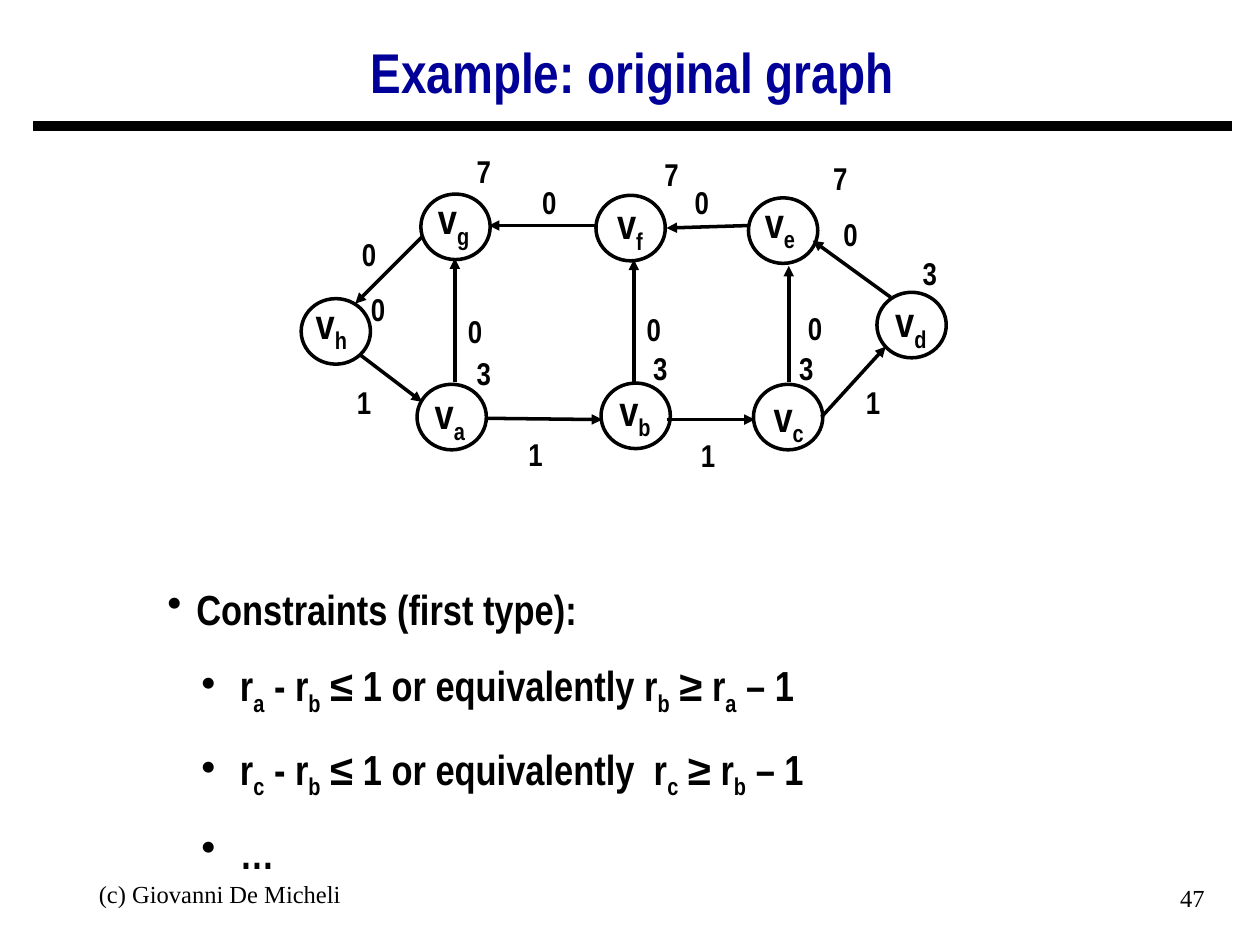
import pptx
import pptx.util
import pptx.dml.color
import pptx.enum.shapes
import pptx.enum.text
import pptx.oxml.ns
from dataclasses import dataclass
from lxml import etree

ALIGN = pptx.enum.text.PP_ALIGN
BLACK = "000000"
COLUMNS, ROWS = 100, 75
NODE_SIZE = (5.5, 5.2)
LABEL_SIZE = (14, 5.6)
WEIGHT_SIZE = (6, 4)
BOLD = {"name": "Arial Narrow", "bold": True}
TITLE = {**BOLD, "size": pptx.util.Pt(32)}
BODY = {**BOLD, "size": pptx.util.Pt(24)}
WEIGHT = {**BOLD, "size": pptx.util.Pt(18)}
FOOTER = {"name": "Times New Roman", "size": pptx.util.Pt(14)}

NODES = {
    "a": ((13.1, 20.5), (-4.4, -0.2)),
    "b": ((27.7, 20.4), (-4.3, -0.4)),
    "c": ((39.8, 20.5), (-4.2, 0)),
    "d": ((49.6, 13.2), (-4.3, -0.2)),
    "e": ((39.4, 5.7), (-4.5, -0.6)),
    "f": ((27.3, 5.5), (-4.3, -0.3)),
    "g": ((13.4, 5.4), (-4.4, -0.6)),
    "h": ((3.9, 13.7), (-4.6, -0.6)),
}
EDGES = [
    ((16.1, 20.3), (16.1, 10.5)),
    ((30.3, 20.3), (30.3, 10.6)),
    ((42.6, 20.3), (42.6, 11.1)),
    ((13.5, 8.8), (8.2, 14.1)),
    ((8.5, 18.1), (13.5, 21.9)),
    ((18.5, 23.2), (27.8, 23.3)),
    ((32.9, 23.3), (39.9, 23.3)),
    ((45.2, 23.1), (50.3, 17.5)),
    ((50.7, 13.6), (44.5, 9.1)),
    ((39.5, 7.9), (32.9, 8.1)),
    ((27.2, 7.9), (18.8, 7.9)),
]
WEIGHTS = {
    "0": [(44.5, 6.6), (32.7, 4), (20.6, 4), (6.3, 8.2), (7, 12.5),
          (14.7, 14.3), (28.9, 14.1), (41.7, 14)],
    "1": [(5.9, 19.9), (19.5, 24), (33.2, 24.1), (46.3, 19.9)],
    "3": [(15.4, 17.6), (29.4, 17.2), (41, 17.2), (50.8, 9.7)],
    "7": [(15.4, 1.6), (30.3, 1.8), (43.7, 2.1)],
}
CONSTRAINTS = [
    " r_a - r_b ≤ 1 or equivalently r_b ≥ r_a – 1",
    " r_c - r_b ≤ 1 or equivalently  r_c ≥ r_b – 1",
    " …",
]


@dataclass
class Box:
    """A region of the slide measured in grid columns and rows."""
    left: float
    top: float
    width: float
    height: float

    def inner(self, at, size):
        """Return a box whose place is relative to this one."""
        return Box(self.left + at[0], self.top + at[1], *size)

    def lengths(self):
        """Return left, top, width and height as slide lengths."""
        return [pptx.util.Inches(value / 10)
                for value in (self.left, self.top, self.width, self.height)]


def color(value):
    """Turn a hex string into a colour."""
    return pptx.dml.color.RGBColor.from_string(value)


def set_all(target, values):
    """Set every attribute named in a dict of format values."""
    for name, value in values.items():
        setattr(target, name, value)


def write(para, text, font, fill=BLACK):
    """Write text in which an underscore lowers the next letter."""
    first, *rest = text.split("_")
    pieces = [(first, False)]
    for piece in rest:
        pieces += [(piece[0], True), (piece[1:], False)]
    for piece, lowered in pieces:
        if piece:
            span = para.add_run()
            span.text = piece
            set_all(span.font, font)
            span.font.color.rgb = color(fill)
            if lowered:
                span.font._element.set("baseline", "-25000")


def add_frame(page, box):
    """Add an empty wrapping text box and return its text frame."""
    frame = page.shapes.add_textbox(*box.lengths()).text_frame
    frame.word_wrap = True
    return frame


def add_label(page, box, text, font, align=ALIGN.CENTER):
    """Add a text box of one paragraph and return the paragraph."""
    para = add_frame(page, box).paragraphs[0]
    para.alignment = align
    write(para, text, font)
    return para


def set_indent(para, margin, first=0):
    """Set the left margin and first-line indent in inches."""
    props = para._p.get_or_add_pPr()
    props.set("marL", str(pptx.util.Inches(margin)))
    props.set("indent", str(pptx.util.Inches(first)))
    return props


def add_line(page, start, end, width, arrow=False):
    """Add a black straight line between two grid points."""
    points = [pptx.util.Inches(value / 10) for value in (*start, *end)]
    line = page.shapes.add_connector(
        pptx.enum.shapes.MSO_CONNECTOR.STRAIGHT, *points)
    line.line.color.rgb = color(BLACK)
    line.line.width = pptx.util.Pt(width)
    if arrow:
        etree.SubElement(line.line._get_or_add_ln(),
                         pptx.oxml.ns.qn("a:tailEnd"), type="triangle")
    etree.SubElement(line._element.spPr, pptx.oxml.ns.qn("a:effectLst"))


def add_heading(page, box):
    """Add the title and the thick rule under it."""
    frame = add_frame(page, box)
    frame.vertical_anchor = pptx.enum.text.MSO_ANCHOR.MIDDLE
    para = frame.paragraphs[0]
    set_all(para, {"alignment": ALIGN.CENTER, "line_spacing": 0.9})
    write(para, "Example: original graph", TITLE, "000099")
    rule = box.top + box.height + 0.3
    add_line(page, (box.left, rule), (box.left + box.width, rule), 6)


def add_graph(page, box):
    """Draw the weights, nodes and edges of the graph."""
    for weight, places in WEIGHTS.items():
        for place in places:
            add_label(page, box.inner(place, WEIGHT_SIZE), weight, WEIGHT)
    for name, (place, offset) in NODES.items():
        circle = box.inner(place, NODE_SIZE)
        node = page.shapes.add_shape(
            pptx.enum.shapes.MSO_SHAPE.FLOWCHART_CONNECTOR, *circle.lengths())
        node.shadow.inherit = False
        node.fill.background()
        node.line.color.rgb = color(BLACK)
        node.line.width = pptx.util.Pt(2)
        add_label(page, circle.inner(offset, LABEL_SIZE), f"v_{name}", BODY)
    for ends in EDGES:
        start, end = [(box.left + x, box.top + y) for x, y in ends]
        add_line(page, start, end, 2, arrow=True)


def add_constraints(page, box):
    """Write the bulleted list of constraints."""
    frame = add_frame(page, box)
    for index, text in enumerate(["Constraints (first type):", *CONSTRAINTS]):
        para = frame.add_paragraph() if index else frame.paragraphs[0]
        set_all(para, {"level": min(index, 1), "alignment": ALIGN.LEFT,
                       "space_before": pptx.util.Pt(15)})
        props = set_indent(para, 0.5 if index else 0.23, -0.23)
        etree.SubElement(props, pptx.oxml.ns.qn("a:buChar"), char="•")
        write(para, text, BODY)


def add_footer(page, box):
    """Write the credit at the left and the page number at the right."""
    credit = box.inner((0, 0), (31.7, box.height))
    number = box.inner((box.width - 23.3, 0.3), (23.3, box.height))
    para = add_label(page, credit, "(c) Giovanni De Micheli", FOOTER)
    set_indent(para, 0.24)
    add_label(page, number, "47", FOOTER, ALIGN.RIGHT)


def main():
    """Build the deck and save it."""
    deck = pptx.Presentation()
    deck.slide_width = pptx.util.Inches(COLUMNS / 10)
    deck.slide_height = pptx.util.Inches(ROWS / 10)
    page = deck.slides.add_slide(deck.slide_layouts[6])
    add_heading(page, Box(2.65, 2.2, 95.1, 7.5))
    add_graph(page, Box(20, 10, 60, 30))
    add_constraints(page, Box(12.3, 45.8, 78.2, 24.4))
    add_footer(page, Box(0.4, 69.3, 96.2, 5.2))
    deck.save("out.pptx")


if __name__ == "__main__":
    main()
